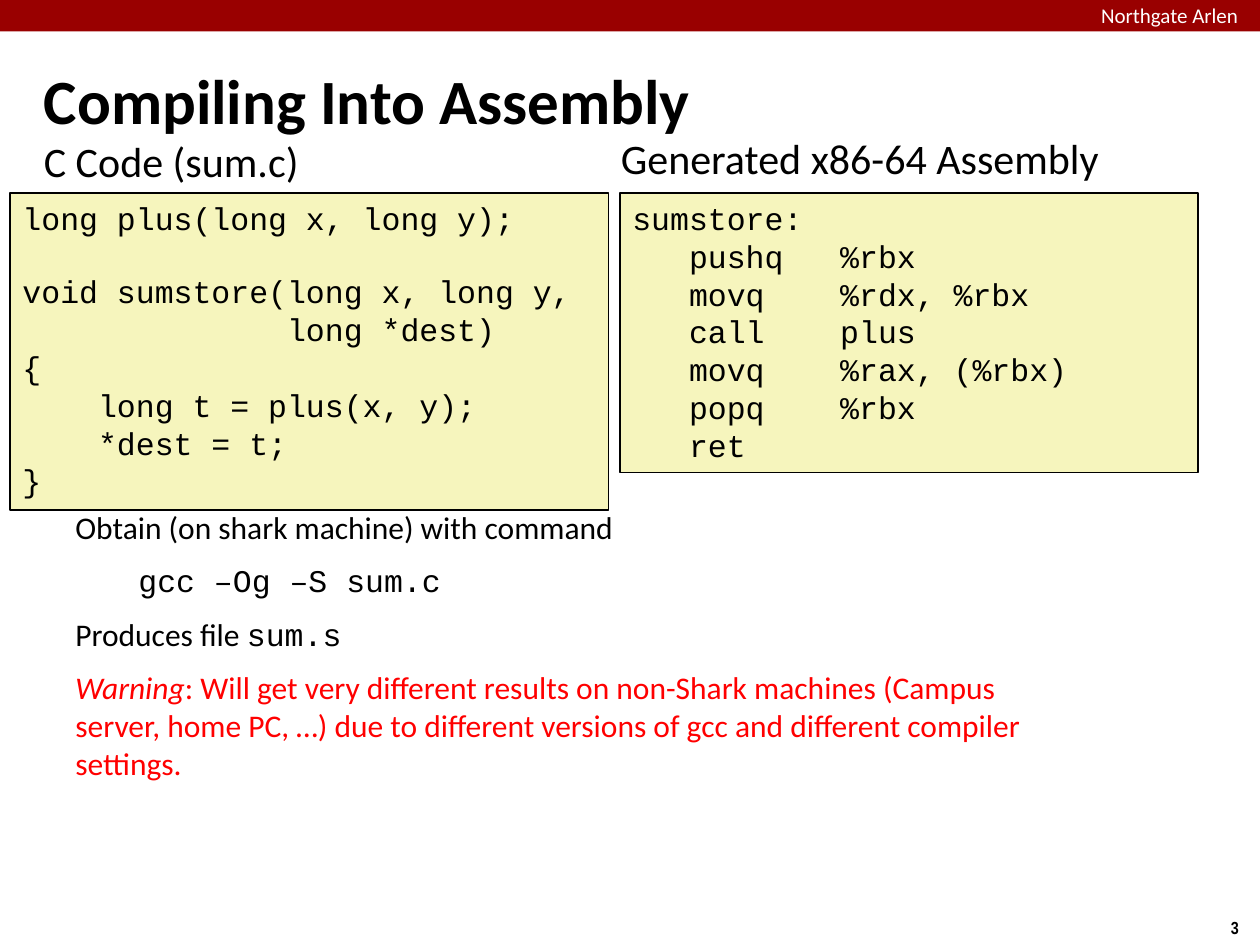
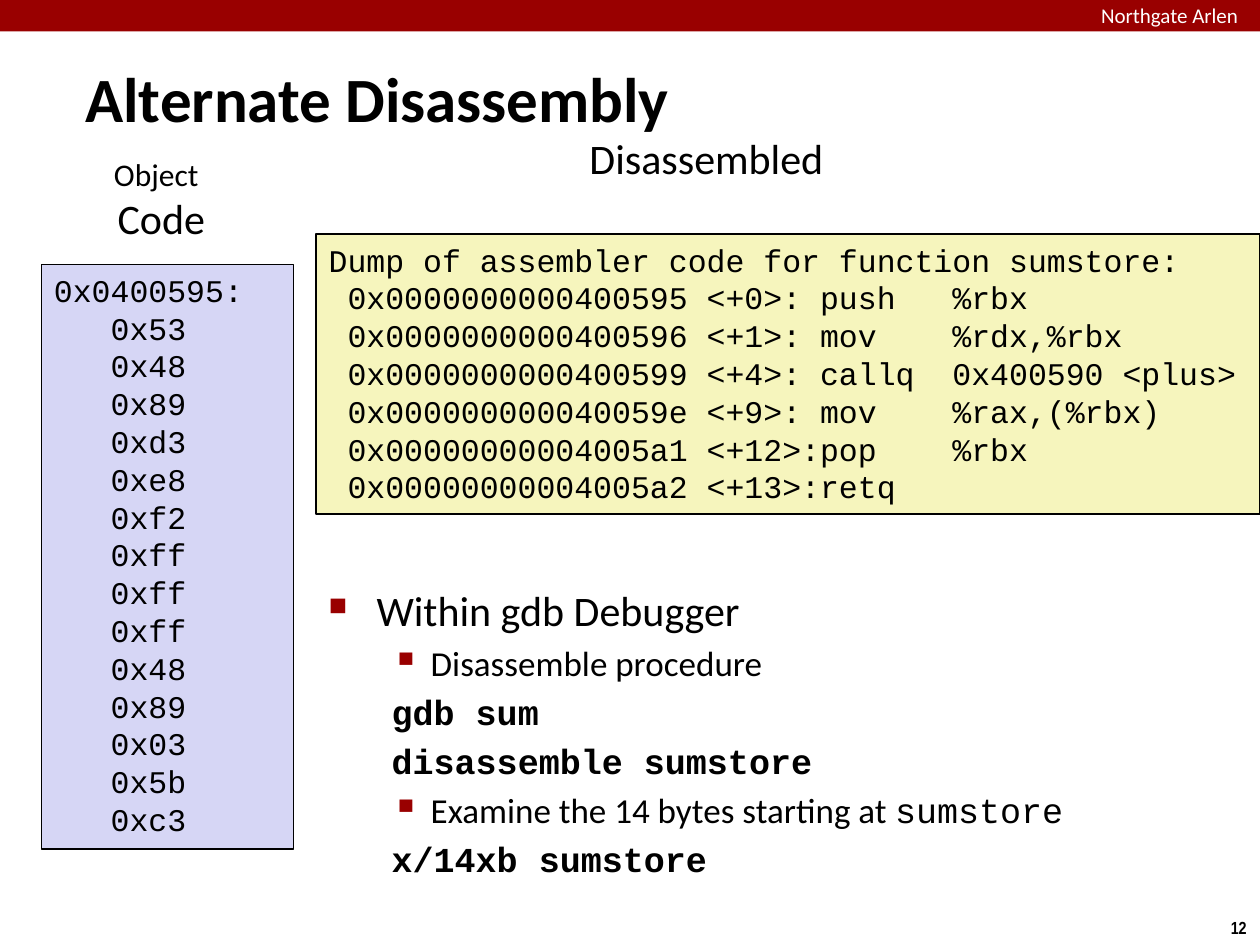
"""Build two slides on compiling and disassembling a C function."""
from lxml.etree import SubElement
from pptx import Presentation
from pptx.dml.color import RGBColor
from pptx.enum.shapes import MSO_SHAPE
from pptx.enum.text import MSO_ANCHOR, PP_ALIGN
from pptx.oxml.ns import qn
from pptx.util import Inches, Pt

HUES = {"band": "990000", "ink": "000000", "paper": "FFFFFF", "code": "F6F5BD",
        "bytes": "D6D6F5", "alert": "FF0000"}
SANS, MONO, SMALL = "Calibri", "Courier New", "Arial Narrow"
LINE = 20.4

SUM_C = """long plus(long x, long y);

void sumstore(long x, long y,
              long *dest)
{
    long t = plus(x, y);
    *dest = t;
}"""
SUM_S = """sumstore:
   pushq   %rbx
   movq    %rdx, %rbx
   call    plus
   movq    %rax, (%rbx)
   popq    %rbx
   ret"""
DUMP = """Dump of assembler code for function sumstore:
 0x0000000000400595 <+0>: push   %rbx
 0x0000000000400596 <+1>: mov    %rdx,%rbx
 0x0000000000400599 <+4>: callq  0x400590 <plus>
 0x000000000040059e <+9>: mov    %rax,(%rbx)
 0x00000000004005a1 <+12>:pop    %rbx
 0x00000000004005a2 <+13>:retq"""
BYTES = "53 48 89 d3 e8 f2 ff ff ff 48 89 03 5b c3".split()


def tint(name):
    """Return the named colour."""
    return RGBColor.from_string(HUES[name])


def style(run, size, face=SANS, hue="ink", bold=False, slant=False):
    """Set the font of one run."""
    font = run.font
    font.size, font.name, font.bold, font.italic = Pt(size), face, bold, slant
    font.color.rgb = tint(hue)


def space(para, part=0, left=0, first=0, mark=None, scale=100):
    """Set the gap above in percent, the indents and the bullet."""
    props = para._p.get_or_add_pPr()
    props.set("marL", str(Inches(left)))
    props.set("indent", str(Inches(first)))
    if part:
        gap = SubElement(props, qn("a:spcBef"))
        SubElement(gap, qn("a:spcPct")).set("val", str(part * 1000))
    if mark:
        shade = SubElement(props, qn("a:buClr"))
        SubElement(shade, qn("a:srgbClr")).set("val", HUES["band"])
        SubElement(props, qn("a:buSzPct")).set("val", str(scale * 1000))
        SubElement(props, qn("a:buChar")).set("char", mark)


def frame(slide, box, wrap=True):
    """Add a text box and return its frame."""
    body = slide.shapes.add_textbox(*map(Inches, box)).text_frame
    body.word_wrap = wrap
    return body


def block(slide, box, fill, edge=None):
    """Add a filled box, with an outline if an edge is named."""
    shape = slide.shapes.add_shape(MSO_SHAPE.RECTANGLE, *map(Inches, box))
    shape.shadow.inherit = False
    shape.fill.solid()
    shape.fill.fore_color.rgb = tint(fill)
    if edge:
        shape.line.color.rgb = tint(edge)
        shape.line.width = Pt(1)
    else:
        shape.line.fill.background()
    return shape


def label(slide, box, text, size, wrap=True, **look):
    """Add one line of text and return its frame."""
    body = frame(slide, box, wrap)
    body.text = text
    style(body.paragraphs[0].runs[0], size, **look)
    return body


def head(slide, box, text):
    """Add a caption above a code box."""
    space(label(slide, box, text, 24).paragraphs[0], 30)


def listing(slide, box, text, fill="code"):
    """Add a code box, where a blank line becomes a gap."""
    body = block(slide, box, fill, "ink").text_frame
    body.word_wrap = True
    body.vertical_anchor = MSO_ANCHOR.TOP
    gap = 0
    for line in text.split("\n"):
        if not line:
            gap += LINE
            continue
        para = body.add_paragraph() if body.text else body.paragraphs[0]
        para.text = line
        para.alignment = PP_ALIGN.LEFT
        if gap:
            para.space_before = Pt(gap)
        style(para.runs[0], 18, MONO)
        gap = 0


def prose(slide, box, rows):
    """Add paragraphs, each a layout and a list of styled runs."""
    body = frame(slide, box)
    for spot, (form, parts) in enumerate(rows):
        para = body.add_paragraph() if spot else body.paragraphs[0]
        space(para, **form)
        for text, look in parts:
            run = para.add_run()
            run.text = text
            style(run, **look)


def base(deck, title, box, page):
    """Add a slide with its band, title and page number."""
    slide = deck.slides.add_slide(deck.slide_layouts[6])
    block(slide, (0, 0, 10, 0.25), "band")
    label(slide, (8.64, -0.03, 1.43, 0.3), "Northgate Arlen", 12, hue="paper")
    label(slide, (9.67, 7.23, 0.34, 0.27), page, 10, False, face=SMALL, bold=True)
    body = label(slide, box, title, 36, bold=True)
    body.vertical_anchor = MSO_ANCHOR.MIDDLE
    return slide


def compile_page(deck):
    """Show the C source beside its assembly."""
    slide = base(deck, "Compiling Into Assembly", (0.25, 0.48, 7.49, 0.61), "3")
    head(slide, (0.25, 1.03, 2.67, 0.4), "C Code (sum.c)")
    listing(slide, (0.08, 1.53, 4.75, 2.52), SUM_C)
    head(slide, (4.83, 1, 4.5, 0.45), "Generated x86-64 Assembly")
    listing(slide, (4.92, 1.53, 4.59, 2.22), SUM_S)
    plain, code = {"size": 18}, {"size": 18, "face": MONO}
    alert = {"size": 18, "hue": "alert"}
    form = {"part": 50}
    prose(slide, (0.5, 3.98, 8.17, 3.73), [
        (form, [("Obtain (on shark machine) with command", plain)]),
        ({**form, "left": 0.5}, [("gcc –Og –S sum.c", code)]),
        (form, [("Produces file ", plain), ("sum.s", code)]),
        (form, [("Warning", {**alert, "slant": True}),
                (": Will get very different results on non-Shark machines "
                 "(Campus server, home PC, …) due to different versions of gcc "
                 "and different compiler settings.", alert)])])


def object_code(slide, left, top):
    """Add the caption and the column of bytes."""
    body = frame(slide, (left + 0.11, top, 1.43, 0.83))
    para = body.paragraphs[0]
    para.text = "Object\vCode"
    para.alignment = PP_ALIGN.CENTER
    space(para, 30, 0.25, -0.08)
    for run, size in zip(para.runs, (18, 24)):
        style(run, size)
    text = "\n".join(["0x0400595:"] + ["   0x" + byte for byte in BYTES])
    listing(slide, (left, top + 0.92, 2, 4.64), text, "bytes")


def dump_page(deck):
    """Show the bytes, their disassembly and the debugger commands."""
    slide = base(deck, "Alternate Disassembly", (0.58, 0.46, 6.83, 0.63), "12")
    head(slide, (4.58, 1, 2.85, 0.45), "Disassembled")
    listing(slide, (2.51, 1.86, 7.49, 2.22), DUMP)
    object_code(slide, 0.33, 1.18)
    plain, code = {"size": 20}, {"size": 20, "face": MONO}
    bold = {**code, "bold": True}
    top = {"part": 20, "left": 0.38, "first": -0.38, "mark": "■", "scale": 60}
    step = {"part": 20, "left": 0.81, "first": -0.31}
    item = {**step, "mark": "▪", "scale": 110}
    prose(slide, (2.51, 4.59, 6.89, 2.46), [
        (top, [("Within gdb Debugger", {"size": 24})]),
        (item, [("Disassemble procedure", plain)]),
        (step, [("gdb sum", bold)]),
        (step, [("disassemble sumstore", bold)]),
        (item, [("Examine the 14 bytes starting at ", plain), ("sumstore", code)]),
        (step, [("x/14xb sumstore", bold)])])


def main():
    """Build and save the deck."""
    deck = Presentation()
    deck.slide_width, deck.slide_height = Inches(10), Inches(7.5)
    compile_page(deck)
    dump_page(deck)
    deck.save("out.pptx")


main()
